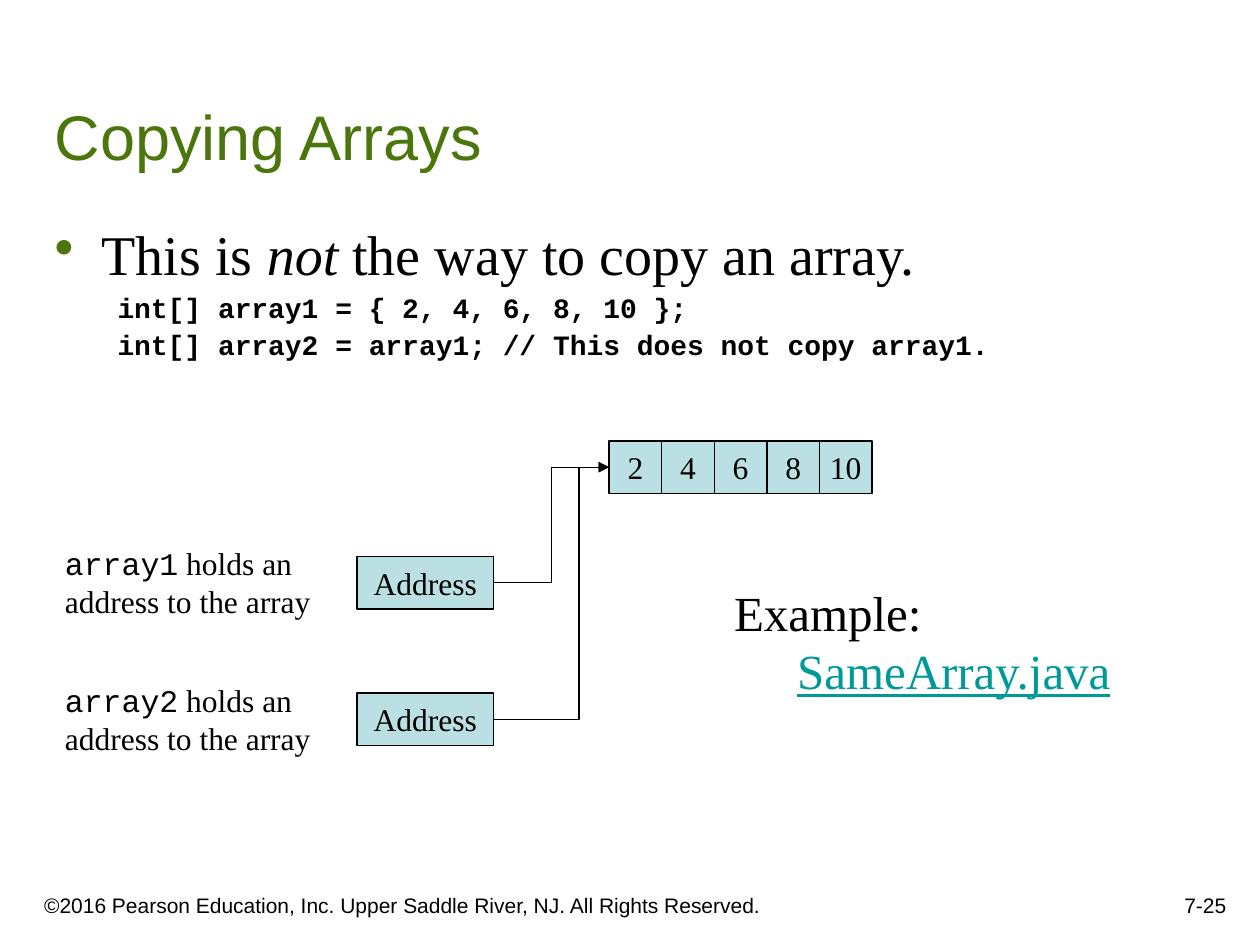
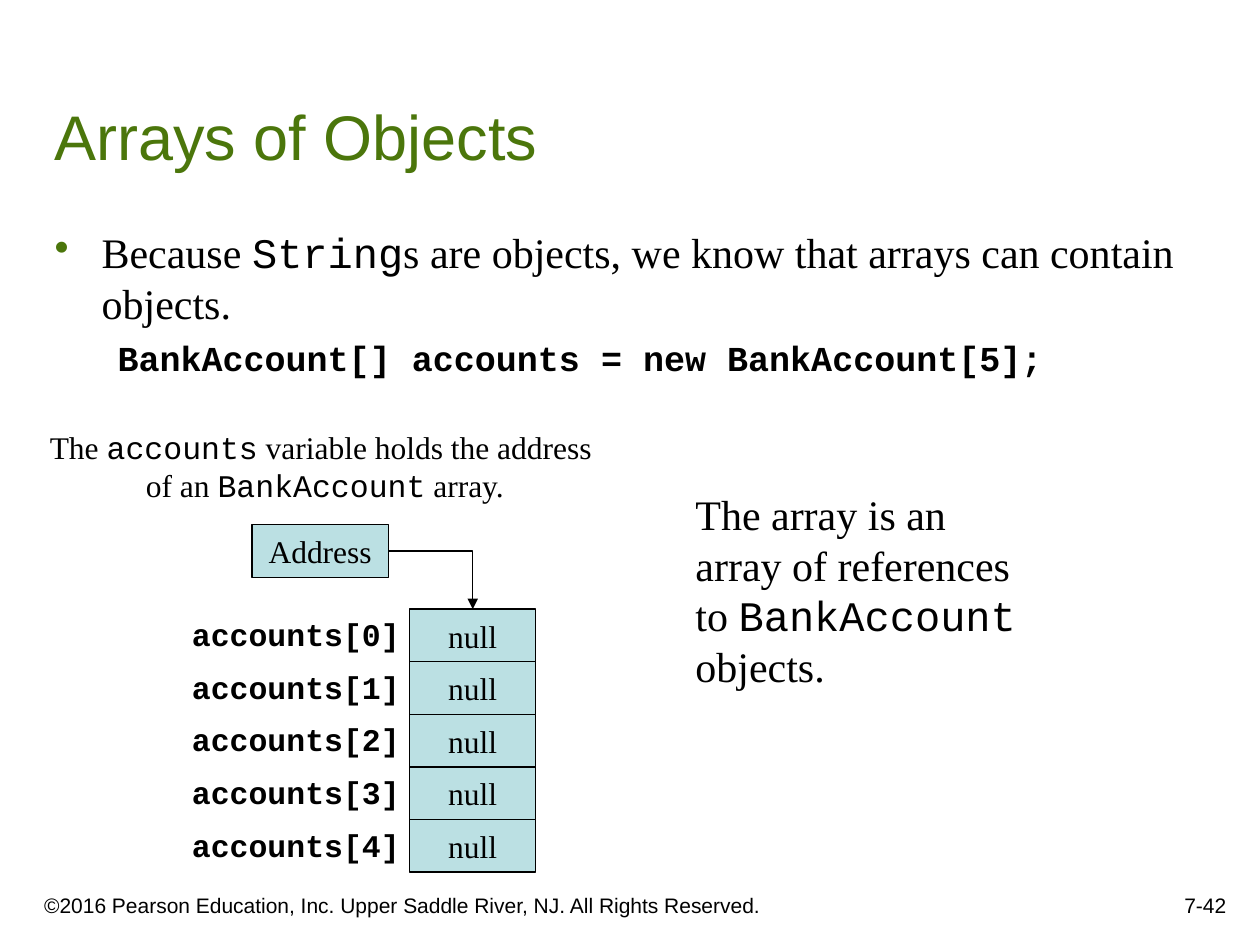
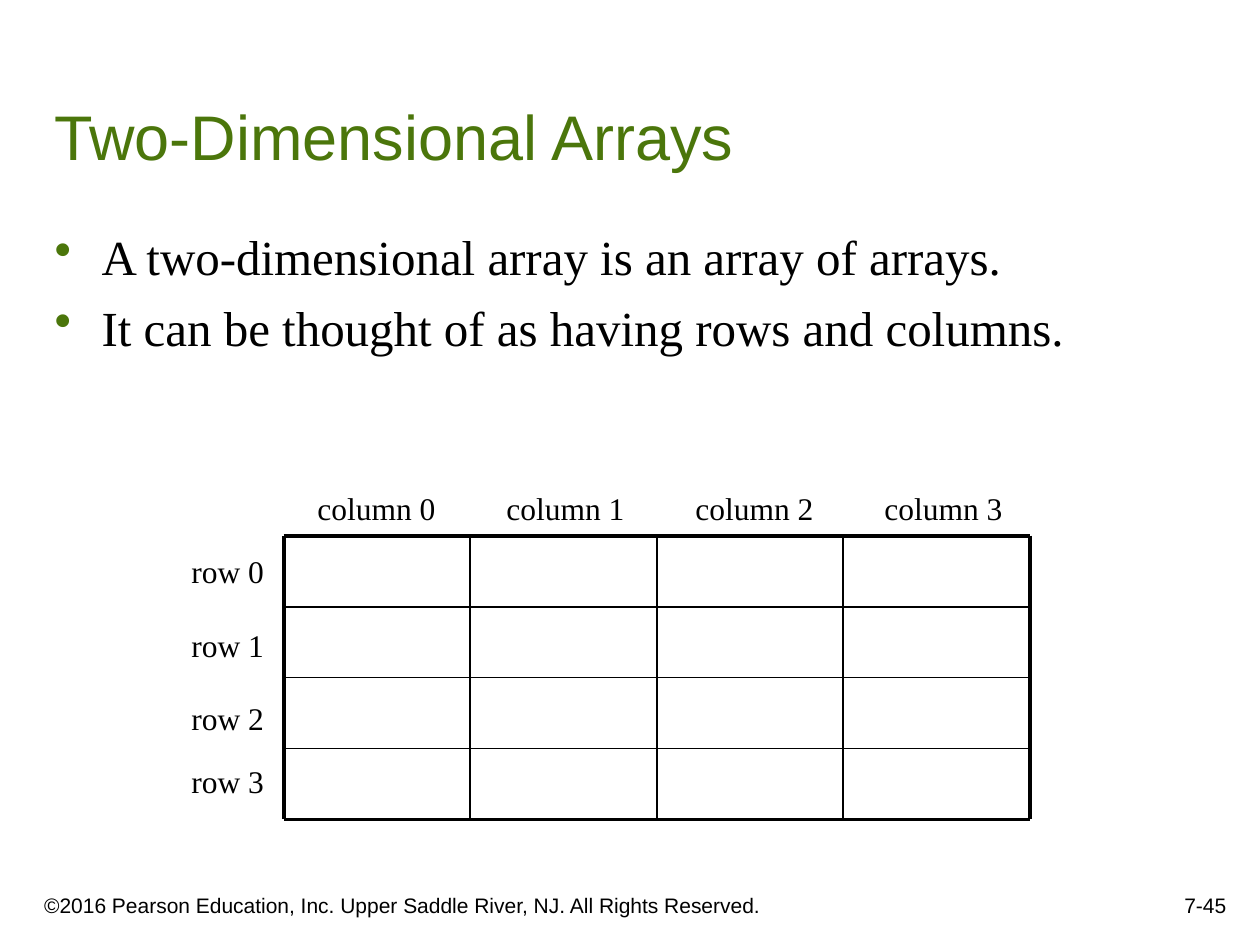
from dataclasses import dataclass
from typing import Optional

from lxml import etree
from pptx import Presentation, util as u
from pptx.dml import color as dml
from pptx.enum import shapes, text
from pptx.oxml.ns import qn

COLORS = {"text": "000000", "accent": "4B760B", "cell": "BBE0E3", "link": "009999"}
SANS, SERIF, MONO = "Arial", "Times New Roman", "Courier New"
LEFT, CENTER, RIGHT = text.PP_ALIGN.LEFT, text.PP_ALIGN.CENTER, text.PP_ALIGN.RIGHT
TOP, MIDDLE, BOTTOM = text.MSO_ANCHOR.TOP, text.MSO_ANCHOR.MIDDLE, text.MSO_ANCHOR.BOTTOM
COPYRIGHT = "©2016 Pearson Education, Inc. Upper Saddle River, NJ. All Rights Reserved."
CELL = 1.06
ADDRESS_W = 2.75
LABEL_H = 1.02
THIN, GRID_THIN, GRID_THICK = 0.75, 1, 2.25


@dataclass
class Run:
    text: str
    size: float = 18
    font: str = SERIF
    bold: bool = False
    italic: bool = False
    underline: bool = False
    color: str = "text"
    new_line: bool = False


@dataclass
class Para:
    runs: list[Run]
    align: text.PP_ALIGN = LEFT
    margin: float = 0
    indent: float = 0
    bullet: bool = False
    spacing: Optional[float] = None
    gap: float = 0


@dataclass
class Area:
    x: float
    y: float
    w: float
    h: float

    def lengths(self) -> list[u.Cm]:
        return [u.Cm(v) for v in (self.x, self.y, self.w, self.h)]


def rgb(name: str) -> dml.RGBColor:
    return dml.RGBColor.from_string(COLORS[name])


def mono(words: str, size: float = 18, bold: bool = False) -> Run:
    return Run(words, size, MONO, bold)


def bullet(*runs: Run, spacing: Optional[float] = None) -> Para:
    return Para(list(runs), margin=0.95, indent=-0.95, bullet=True, spacing=spacing,
                gap=0.24 * runs[0].size)


def code(line: str, size: float, spacing: Optional[float] = None) -> Para:
    return Para([mono(line, size, True)], margin=2.06, indent=-0.79, spacing=spacing,
                gap=0.24 * size)


def fill_text(tf, paras: list[Para]) -> None:
    for i, para in enumerate(paras):
        p = tf.add_paragraph() if i else tf.paragraphs[0]
        p.alignment = para.align
        if para.margin:
            pPr = p._p.get_or_add_pPr()
            pPr.set("marL", str(u.Cm(para.margin)))
            pPr.set("indent", str(u.Cm(para.indent)))
            if para.bullet:
                clr = etree.SubElement(pPr, qn("a:buClr"))
                etree.SubElement(clr, qn("a:srgbClr"), val=COLORS["accent"])
                etree.SubElement(pPr, qn("a:buChar"), char="•")
        if para.spacing:
            p.line_spacing = para.spacing
        if i and para.gap:
            p.space_before = u.Pt(para.gap)
        for run in para.runs:
            if run.new_line:
                p.add_line_break()
            r = p.add_run()
            r.text = run.text
            r.font.name, r.font.size = run.font, u.Pt(run.size)
            r.font.bold, r.font.italic = run.bold, run.italic
            r.font.underline = run.underline
            r.font.color.rgb = rgb(run.color)


def add_text(s, area: Area, paras: list[Para], anchor=TOP, wrap: bool = True):
    sp = s.shapes.add_textbox(*area.lengths())
    tf = sp.text_frame
    tf.word_wrap = wrap
    tf.vertical_anchor = anchor
    fill_text(tf, paras)
    return sp


def add_body(s, height: float, paras: list[Para]) -> None:
    add_text(s, Area(0.85, 4.45, 23.03, height), paras).text_frame.margin_right = 0


def add_cell(s, x: float, y: float, w: float, label: str):
    sp = s.shapes.add_shape(shapes.MSO_SHAPE.RECTANGLE, *Area(x, y, w, CELL).lengths())
    sp.shadow.inherit = False
    sp.fill.solid()
    sp.fill.fore_color.rgb = rgb("cell")
    sp.line.color.rgb = rgb("text")
    sp.line.width = u.Pt(THIN)
    tf = sp.text_frame
    tf.word_wrap = False
    tf.vertical_anchor = MIDDLE
    fill_text(tf, [Para([Run(label)], CENTER)])
    return sp


def add_line(s, kind, start: tuple, end: tuple, width: float):
    c = s.shapes.add_connector(kind, *start, *end)
    c.line.color.rgb = rgb("text")
    c.line.width = u.Pt(width)
    etree.SubElement(c.element.spPr, qn("a:effectLst"))
    return c


def add_pointer(s, source, target, bend: Optional[float] = None) -> None:
    """Arrow into the target's left side, bent at a share of the way; without bend, into its top."""
    start = (source.left + source.width, source.top + source.height // 2)
    if bend is None:
        end, site = (target.left + target.width // 2, target.top), 0
    else:
        end, site = (target.left, target.top + target.height // 2), 1
    c = add_line(s, shapes.MSO_CONNECTOR.ELBOW, start, end, THIN)
    c.begin_connect(source, 3)
    c.end_connect(target, site)
    spPr = c.element.spPr
    etree.SubElement(spPr.find(qn("a:ln")), qn("a:tailEnd"), type="triangle")
    geom = spPr.find(qn("a:prstGeom"))
    if bend is None:
        geom.set("prst", "bentConnector2")
    else:
        etree.SubElement(geom.find(qn("a:avLst")), qn("a:gd"), name="adj1",
                         fmla=f"val {round(bend * 100000)}")


def add_slide(prs, title: str, number: str):
    s = prs.slides.add_slide(prs.slide_layouts[6])
    add_text(s, Area(0.64, 17.57, 15.45, 1.06), [Para([Run(COPYRIGHT, 12, SANS)])], BOTTOM)
    add_text(s, Area(19.69, 17.36, 5.28, 1.27), [Para([Run(number, 12, SANS)], RIGHT)], BOTTOM)
    add_text(s, Area(0.85, 0.85, 23.92, 2.76),
             [Para([Run(title, 36, SANS, color="accent")])], BOTTOM)
    return s


def copying_arrays(prs) -> None:
    s = add_slide(prs, "Copying Arrays", "7-25")
    add_body(s, 3.89, [
        bullet(Run("This is ", 32), Run("not", 32, italic=True),
               Run(" the way to copy an array.", 32), spacing=0.9),
        code("int[] array1 = { 2, 4, 6, 8, 10 };", 16, 0.9),
        code("int[] array2 = array1; // This does not copy array1.", 16, 0.9),
    ])
    cells = [add_cell(s, 12.28 + i * CELL, 8.89, CELL, value)
             for i, value in enumerate(("2", "4", "6", "8", "10"))]
    for name, y, bend in (("array1", 11.22, 0.5), ("array2", 13.97, 0.74)):
        address = add_cell(s, 7.2, y, ADDRESS_W, "Address")
        add_text(s, Area(1.06, y - 0.37, 5.46, 1.78),
                 [Para([mono(name), Run(" holds an")]), Para([Run("address to the array")])],
                 wrap=False)
        add_pointer(s, address, cells[0], bend)
    example = [Run("Example:", 28),
               Run("SameArray.java", 28, underline=True, color="link", new_line=True)]
    add_text(s, Area(14.55, 11.61, 8.18, 2.62),
             [Para(example, margin=1.27, indent=-1.27)], wrap=False)


def arrays_of_objects(prs) -> None:
    s = add_slide(prs, "Arrays of Objects", "7-42")
    add_body(s, 4.09, [
        bullet(Run("Because ", 24), mono("String", 24),
               Run("s are objects, we know that arrays can contain objects.", 24)),
        code("BankAccount[] accounts = new BankAccount[5];", 20),
    ])
    add_text(s, Area(0.74, 8.51, 11.46, 1.78), [
        Para([Run("The "), mono("accounts"), Run(" variable holds the address")], CENTER),
        Para([Run(" of an "), mono("BankAccount"), Run(" array.")], CENTER),
    ], wrap=False)
    address = add_cell(s, 5.08, 10.58, ADDRESS_W, "Address")
    cells = []
    for i in range(5):
        y = 12.28 + i * CELL
        cells.append(add_cell(s, 8.26, y, 2.54, "null"))
        add_text(s, Area(2.54, y, 5.77, LABEL_H),
                 [Para([mono(f"accounts[{i}]", bold=True)], RIGHT)])
    add_pointer(s, address, cells[0])
    add_text(s, Area(13.77, 9.73, 6.99, 4.32), [
        Para([Run("The array is an array of references to ", 24),
              mono("BankAccount", 24), Run(" objects.", 24)]),
    ])


def two_dimensional_arrays(prs) -> None:
    s = add_slide(prs, "Two-Dimensional Arrays", "7-45")
    add_body(s, 5.74, [
        bullet(Run("A two-dimensional array is an array of arrays.", 28)),
        bullet(Run("It can be thought of as having rows and columns.", 28)),
    ])
    n, left, top, col_w, row_h = 4, 5.72, 10.8, 3.76, 1.43
    right, bottom = left + n * col_w, top + n * row_h
    for i in range(n + 1):
        x, y = left + i * col_w, top + i * row_h
        width = GRID_THICK if i in (0, n) else GRID_THIN
        for x1, y1, x2, y2 in ((left, y, right, y), (x, top, x, bottom)):
            add_line(s, shapes.MSO_CONNECTOR.STRAIGHT,
                     (u.Cm(x1), u.Cm(y1)), (u.Cm(x2), u.Cm(y2)), width)
    for i, row_y in enumerate((11, 12.5, 13.97, 15.24)):
        add_text(s, Area(3.61, row_y, 1.98, LABEL_H), [Para([Run(f"row {i}")])], wrap=False)
        add_text(s, Area(6.15 + i * 3.81, 9.73, 2.9, LABEL_H),
                 [Para([Run(f"column {i}")])], wrap=False)


def main() -> None:
    prs = Presentation()
    prs.slide_width, prs.slide_height = u.Cm(25.4), u.Cm(19.05)
    copying_arrays(prs)
    arrays_of_objects(prs)
    two_dimensional_arrays(prs)
    prs.save("out.pptx")


if __name__ == "__main__":
    main()
